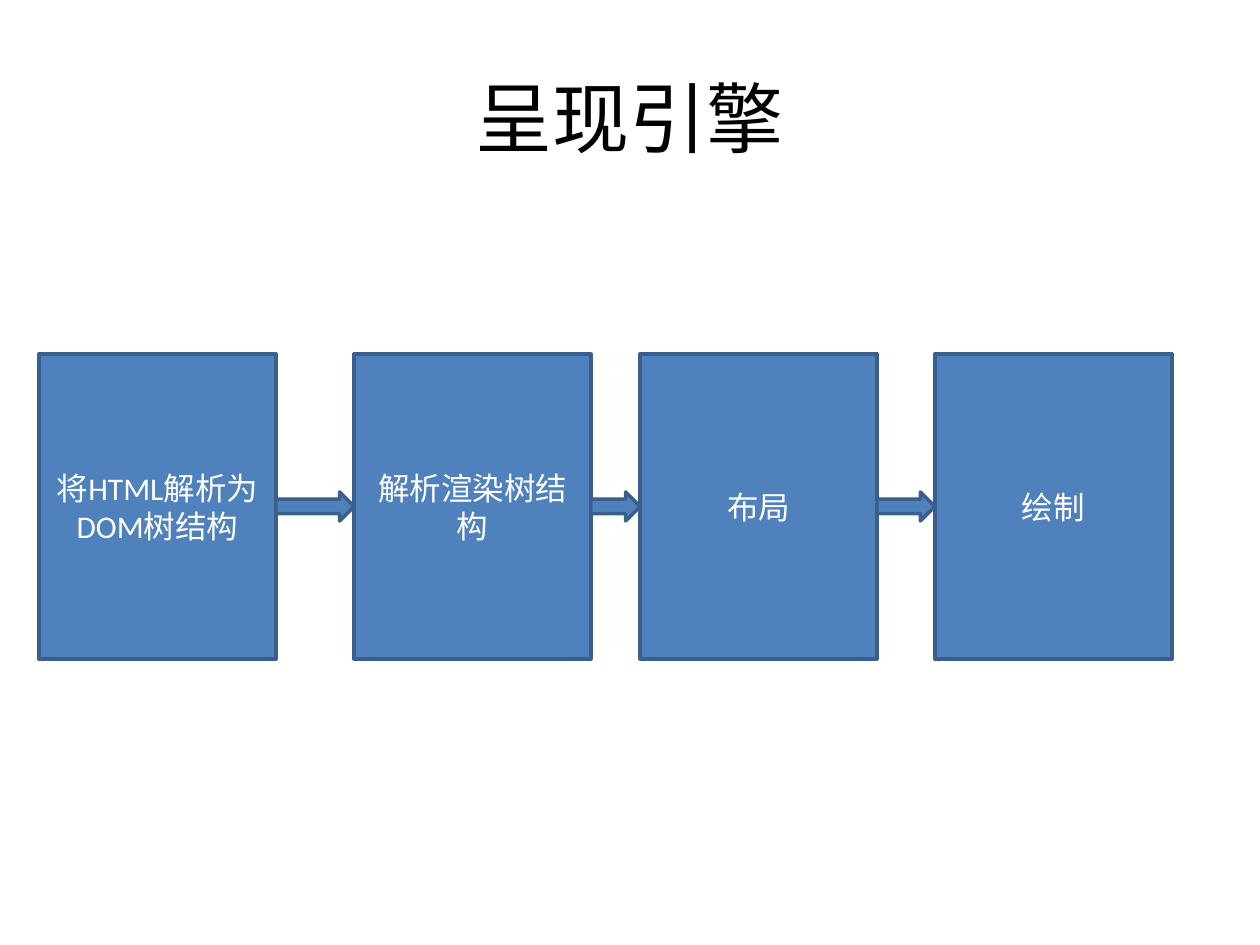
from itertools import pairwise

from pptx import Presentation
from pptx import util as u
from pptx.dml.color import RGBColor
from pptx.enum import shapes, text

WIDTH, HEIGHT = 10, 7.5
FONT = "Calibri"
BLUE, EDGE, WHITE, BLACK = "4F81BD", "3A5F8C", "FFFFFF", "000000"
STEP_TOP, STEP_WIDTH, STEP_HEIGHT = 2.81, 1.88, 2.42
ARROW_HEIGHT = 0.23
STEPS = [
    (0.31, "将HTML解析为DOM树结构"),
    (2.81, "解析渲染树结构"),
    (5.08, "布局"),
    (7.42, "绘制"),
]


def colour(value):
    return RGBColor.from_string(value)


def inches(*lengths):
    return [u.Inches(length) for length in lengths]


def write(box, words, size, ink):
    """Put one centred line of text in the middle of a box."""
    frame = box.text_frame
    frame.word_wrap = True
    frame.vertical_anchor = text.MSO_ANCHOR.MIDDLE
    para = frame.paragraphs[0]
    para.alignment = text.PP_ALIGN.CENTER
    span = para.add_run()
    span.text = words
    span.font.name = FONT
    span.font.size = u.Pt(size)
    span.font.color.rgb = colour(ink)


def add_title(page, words):
    margin = WIDTH / 20
    box = page.shapes.add_textbox(
        *inches(margin, HEIGHT / 25, WIDTH - 2 * margin, HEIGHT / 6))
    write(box, words, 44, BLACK)


def add_block(page, kind, left, top, width, height):
    block = page.shapes.add_shape(kind, *inches(left, top, width, height))
    block.shadow.inherit = False
    block.fill.solid()
    block.fill.fore_color.rgb = colour(BLUE)
    block.line.color.rgb = colour(EDGE)
    block.line.width = u.Pt(2)
    return block


def add_step(page, left, words):
    box = add_block(page, shapes.MSO_SHAPE.RECTANGLE,
                    left, STEP_TOP, STEP_WIDTH, STEP_HEIGHT)
    write(box, words, 18, WHITE)


def add_arrow(page, left, next_left):
    """Fill the gap between two steps with an arrow at their mid height."""
    start = left + STEP_WIDTH
    top = STEP_TOP + (STEP_HEIGHT - ARROW_HEIGHT) / 2
    add_block(page, shapes.MSO_SHAPE.RIGHT_ARROW,
              start, top, next_left - start, ARROW_HEIGHT)


def main():
    deck = Presentation()
    deck.slide_width, deck.slide_height = inches(WIDTH, HEIGHT)
    page = deck.slides.add_slide(deck.slide_layouts[6])
    add_title(page, "呈现引擎")
    for left, words in STEPS:
        add_step(page, left, words)
    for (left, _), (next_left, _) in pairwise(STEPS):
        add_arrow(page, left, next_left)
    deck.save("out.pptx")


if __name__ == "__main__":
    main()
